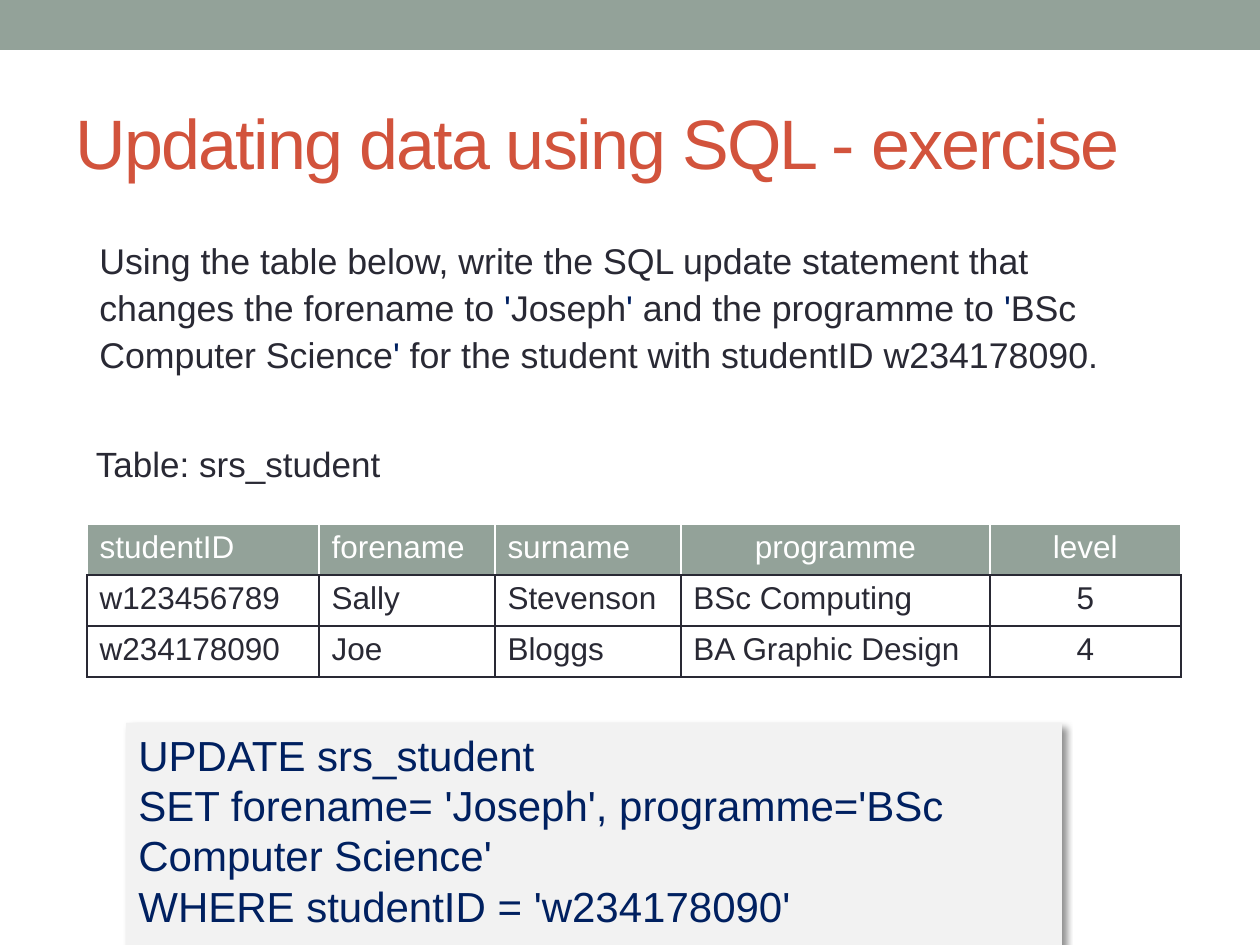
import pptx
import pptx.util
import pptx.dml.color
import pptx.enum.shapes
import pptx.enum.text
import pptx.oxml

RGBColor = pptx.dml.color.RGBColor
Pt = pptx.util.Pt
ALIGN = pptx.enum.text.PP_ALIGN
ANCHOR = pptx.enum.text.MSO_ANCHOR
RECTANGLE = pptx.enum.shapes.MSO_SHAPE.RECTANGLE

SAGE = RGBColor(0x93, 0xA2, 0x99)
RED = RGBColor(0xD2, 0x53, 0x3C)
INK = RGBColor(0x29, 0x29, 0x34)
NAVY = RGBColor(0x00, 0x20, 0x60)
PALE = RGBColor(0xF2, 0xF2, 0xF2)
WHITE = RGBColor(0xFF, 0xFF, 0xFF)
NAMESPACE = 'xmlns:a="http://schemas.openxmlformats.org/drawingml/2006/main"'
SCALE = 914400 / 126


def emu(*lengths):
    return [round(length * SCALE) for length in lengths]


def add_span(para, text, size, color):
    span = para.add_run()
    span.text = text
    span.font.name = "Arial"
    span.font.size = Pt(size)
    span.font.color.rgb = color
    return span


deck = pptx.Presentation()
deck.slide_width, deck.slide_height = emu(1260, 945)
page = deck.slides.add_slide(deck.slide_layouts[6])

band = page.shapes.add_shape(RECTANGLE, *emu(0, 0, 1260, 50))
band.shadow.inherit = False
band.fill.solid()
band.fill.fore_color.rgb = SAGE
band.line.fill.background()

title = page.shapes.add_textbox(*emu(63, 73, 1134, 136)).text_frame
title.word_wrap = True
title.vertical_anchor = ANCHOR.MIDDLE
heading = add_span(title.paragraphs[0], "Updating data using SQL - exercise", 40, RED)
heading.font._element.set("spc", "-100")

task = page.shapes.add_textbox(*emu(87, 228, 1094, 195)).text_frame
task.word_wrap = True
para = task.paragraphs[0]
para.line_spacing = 1.1
para.space_before = Pt(4)
para.space_after = Pt(6)
for text, color in [
    ("Using the table below, write the SQL update statement that changes the forename to ", INK),
    ("'", NAVY),
    ("Joseph", INK),
    ("'", NAVY),
    (" and the programme to ", INK),
    ("'", NAVY),
    ("BSc Computer Science", INK),
    ("'", NAVY),
    (" for the student with studentID w234178090.", INK),
]:
    add_span(para, text, 20.4, color)

caption = page.shapes.add_textbox(*emu(87, 442, 420, 60)).text_frame
caption.word_wrap = True
caption.margin_left, caption.margin_right, caption.margin_top, caption.margin_bottom = emu(9, 9, 5, 5)
para = caption.paragraphs[0]
para.line_spacing = 0.9
para.space_before = Pt(10)
add_span(para, "Table: srs_student", 20, INK)

records = [
    ["studentID", "forename", "surname", "programme", "level"],
    ["w123456789", "Sally", "Stevenson", "BSc Computing", "5"],
    ["w234178090", "Joe", "Bloggs", "BA Graphic Design", "4"],
]
table = page.shapes.add_table(3, 5, *emu(87, 524, 1094, 153)).table
for column, width in zip(table.columns, emu(232, 176, 186, 309, 191)):
    column.width = width
for row_index, record in enumerate(records):
    table.rows[row_index].height = emu(51)[0]
    is_header = row_index == 0
    for column_index, text in enumerate(record):
        cell = table.cell(row_index, column_index)
        para = cell.text_frame.paragraphs[0]
        if column_index == 4 or (is_header and column_index == 3):
            para.alignment = ALIGN.CENTER
        span = add_span(para, text, 18, WHITE if is_header else INK)
        span.font.bold = False
        properties = cell._tc.get_or_add_tcPr()
        for side in ("lnL", "lnR", "lnT", "lnB"):
            color = WHITE if is_header and side != "lnB" else INK
            properties.append(pptx.oxml.parse_xml(
                f'<a:{side} {NAMESPACE} w="12700"><a:solidFill>'
                f'<a:srgbClr val="{color}"/></a:solidFill></a:{side}>'))
        cell.fill.solid()
        cell.fill.fore_color.rgb = SAGE if is_header else WHITE

answer = page.shapes.add_shape(RECTANGLE, *emu(126, 723, 936, 267))
answer.shadow.inherit = False
answer.fill.solid()
answer.fill.fore_color.rgb = PALE
answer.line.fill.background()
effects = answer._element.spPr.find(pptx.oxml.ns.qn("a:effectLst"))
effects.append(pptx.oxml.parse_xml(
    f'<a:outerShdw {NAMESPACE} blurRad="50800" dist="38100" dir="2700000" algn="tl" rotWithShape="0">'
    '<a:srgbClr val="000000"><a:alpha val="43000"/></a:srgbClr></a:outerShdw>'))
frame = answer.text_frame
frame.word_wrap = True
frame.vertical_anchor = ANCHOR.TOP
for index, text in enumerate([
    "UPDATE srs_student",
    "SET forename= 'Joseph', programme='BSc Computer Science'",
    "WHERE studentID = 'w234178090'",
]):
    para = frame.add_paragraph() if index else frame.paragraphs[0]
    para.alignment = ALIGN.LEFT
    add_span(para, text, 24, NAVY)

deck.save("out.pptx")
